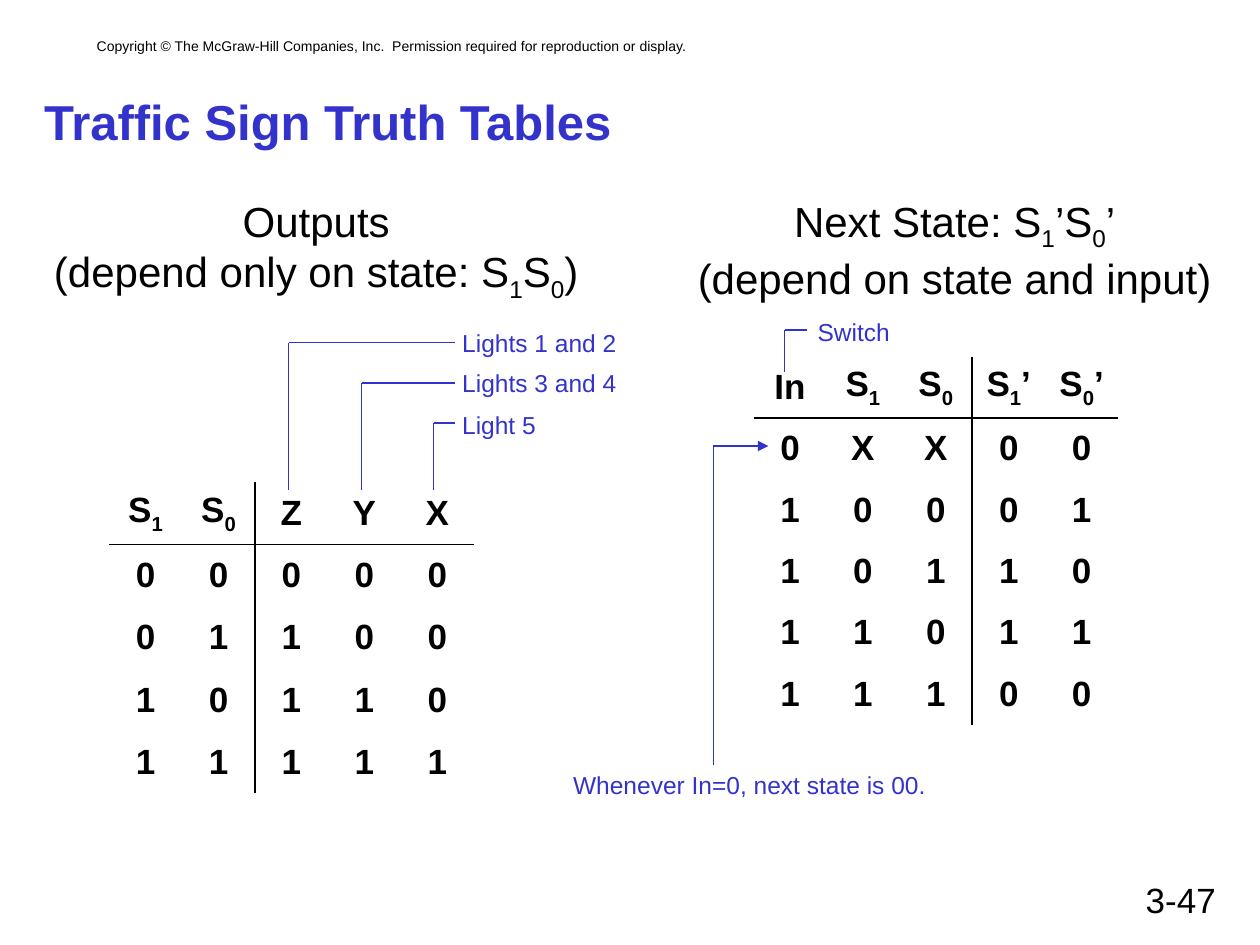
from dataclasses import dataclass

from lxml import etree
from pptx import Presentation
from pptx.dml.color import RGBColor
from pptx.enum.shapes import MSO_CONNECTOR
from pptx.enum.text import MSO_ANCHOR, MSO_AUTO_SIZE, PP_ALIGN
from pptx.oxml.ns import qn
from pptx.slide import Slide
from pptx.text.text import TextFrame
from pptx.util import Cm, Pt

LEFT, CENTER, RIGHT = PP_ALIGN.LEFT, PP_ALIGN.CENTER, PP_ALIGN.RIGHT
TOP, MIDDLE = MSO_ANCHOR.TOP, MSO_ANCHOR.MIDDLE
FIT_SHAPE = MSO_AUTO_SIZE.SHAPE_TO_FIT_TEXT
STRAIGHT = MSO_CONNECTOR.STRAIGHT

FONT = "Arial"
COLORS = {"ink": "000000", "accent": "3333CC"}
COLUMN_WIDTH = 1.47
RULE_WIDTH = Pt(1.08)


@dataclass
class Label:
    text: str
    left: float
    top: float
    width: float
    height: float


@dataclass
class Leader:
    """An elbow line from a tip beside a label, through a corner, to an end above or below."""
    tip_x: float
    corner_x: float
    corner_y: float
    end_y: float
    arrow: bool = False


@dataclass
class TruthTable:
    left: float
    top: float
    height: float
    inputs: int
    rows: list[str]


HEADINGS = [
    Label("Outputs\n(depend only on state: S_1S_0)", 0.74, 3.81, 11.27, 2.44),
    Label("Next State: S_1’S_0’\n(depend on state and input)", 13.72, 3.81, 11.05, 2.44),
]
NOTES = [
    Label("Lights 1 and 2", 8.97, 6.48, 3.81, 0.86),
    Label("Lights 3 and 4", 8.97, 7.29, 3.81, 0.86),
    Label("Light 5", 8.97, 8.15, 2.18, 0.86),
    Label("Switch", 16.13, 6.27, 2.16, 0.86),
    Label("Whenever In=0, next state is 00.", 11.2, 15.39, 7.82, 0.86),
]
LEADERS = [
    Leader(9.17, 5.82, 6.91, 9.88),
    Leader(9.17, 7.29, 7.72, 9.88),
    Leader(9.17, 8.74, 8.53, 9.88),
    Leader(16.26, 15.82, 6.65, 7.49),
    Leader(15.49, 14.38, 8.99, 15.42, arrow=True),
]
TABLES = [
    TruthTable(2.2, 9.72, 6.27, 2, [
        "S_1 S_0 Z Y X",
        "0 0 0 0 0",
        "0 1 1 0 0",
        "1 0 1 1 0",
        "1 1 1 1 1",
    ]),
    TruthTable(15.19, 7.19, 7.42, 3, [
        "In S_1 S_0 S_1’ S_0’",
        "0 X X 0 0",
        "1 0 0 0 1",
        "1 0 1 1 0",
        "1 1 0 1 1",
        "1 1 1 0 0",
    ]),
]


def write_text(frame: TextFrame, text: str, *, size: float, color: str = "ink",
               bold: bool = False, align: PP_ALIGN = CENTER) -> None:
    """Write one paragraph per line; the character after an underscore is a subscript."""
    for index, line in enumerate(text.split("\n")):
        para = frame.add_paragraph() if index else frame.paragraphs[0]
        para.alignment = align
        plain, *marked = line.split("_")
        pieces = [(plain, False)]
        for part in marked:
            pieces += [(part[0], True), (part[1:], False)]
        for piece, subscript in pieces:
            if not piece:
                continue
            span = para.add_run()
            span.text = piece
            span.font.name = FONT
            span.font.size = Pt(size)
            span.font.bold = bold
            span.font.color.rgb = RGBColor.from_string(COLORS[color])
            if subscript:
                span.font._element.set("baseline", "-25000")


def add_label(page: Slide, label: Label, *, wrap: bool = False, grow: bool = True,
              anchor: MSO_ANCHOR = TOP, **text_format) -> None:
    box = page.shapes.add_textbox(Cm(label.left), Cm(label.top),
                                  Cm(label.width), Cm(label.height))
    frame = box.text_frame
    frame.word_wrap = wrap
    frame.vertical_anchor = anchor
    if grow:
        frame.auto_size = FIT_SHAPE
    write_text(frame, label.text, **text_format)


def add_line(page: Slide, start: tuple[float, float], end: tuple[float, float],
             arrow: bool = False) -> None:
    line = page.shapes.add_connector(STRAIGHT, *map(Cm, start + end))
    line.line.color.rgb = RGBColor.from_string(COLORS["accent"])
    line.line.width = Pt(0.75)
    properties = line._element.spPr
    if arrow:
        etree.SubElement(properties.find(qn("a:ln")), qn("a:tailEnd"), type="triangle")
    etree.SubElement(properties, qn("a:effectLst"))


def add_leader(page: Slide, leader: Leader) -> None:
    corner = (leader.corner_x, leader.corner_y)
    add_line(page, corner, (leader.tip_x, leader.corner_y), leader.arrow)
    add_line(page, corner, (leader.corner_x, leader.end_y))


def set_borders(cell, ruled: set[str]) -> None:
    """Rule the given sides (L, R, T, B) and clear the others."""
    properties = cell._tc.get_or_add_tcPr()
    for side in "LRTB":
        border = etree.SubElement(properties, qn(f"a:ln{side}"), w=str(int(RULE_WIDTH)))
        if side in ruled:
            fill = etree.SubElement(border, qn("a:solidFill"))
            etree.SubElement(fill, qn("a:srgbClr"), val=COLORS["ink"])
        else:
            etree.SubElement(border, qn("a:noFill"))


def add_truth_table(page: Slide, truth: TruthTable) -> None:
    rows = [row.split() for row in truth.rows]
    columns = len(rows[0])
    table = page.shapes.add_table(len(rows), columns, Cm(truth.left), Cm(truth.top),
                                  Cm(COLUMN_WIDTH * columns), Cm(truth.height)).table
    table.first_row = False
    table.horz_banding = False
    for row_index, values in enumerate(rows):
        for column_index, value in enumerate(values):
            cell = table.cell(row_index, column_index)
            edges = {"B": row_index == 0, "T": row_index == 1,
                     "R": column_index == truth.inputs - 1,
                     "L": column_index == truth.inputs}
            set_borders(cell, {side for side, ruled in edges.items() if ruled})
            cell.fill.background()
            cell.vertical_anchor = MIDDLE
            write_text(cell.text_frame, value, size=20, bold=True)


def main() -> None:
    deck = Presentation()
    deck.slide_width, deck.slide_height = Cm(25.4), Cm(19.05)
    page = deck.slides.add_slide(deck.slide_layouts[6])

    copyright_line = ("Copyright © The McGraw-Hill Companies, Inc.  "
                      "Permission required for reproduction or display.")
    add_label(page, Label(copyright_line, 1.7, 0.64, 22.02, 0.61),
              wrap=True, size=8, align=LEFT)
    add_label(page, Label("3-47", 18.21, 17.58, 6.55, 1.07),
              wrap=True, grow=False, size=20, align=RIGHT)
    add_label(page, Label("Traffic Sign Truth Tables", 0.64, 1.7, 24.13, 1.47),
              wrap=True, grow=False, anchor=MIDDLE, size=28, color="accent",
              bold=True, align=LEFT)
    for heading in HEADINGS:
        add_label(page, heading, size=24)
    for truth in TABLES:
        add_truth_table(page, truth)
    for note in NOTES:
        add_label(page, note, size=14, color="accent")
    for leader in LEADERS:
        add_leader(page, leader)

    deck.save("out.pptx")


if __name__ == "__main__":
    main()
